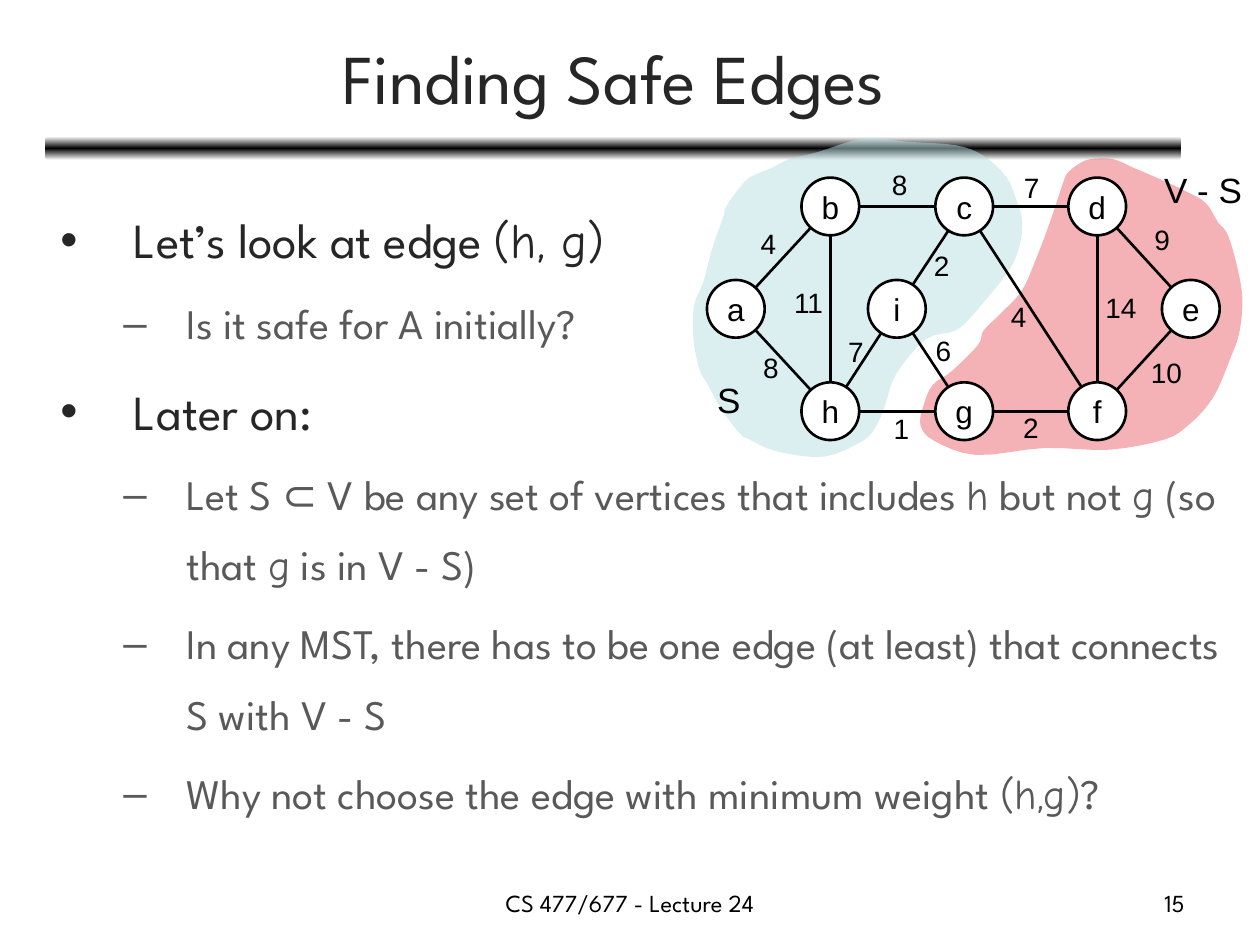
from copy import deepcopy
from math import hypot

from lxml.etree import SubElement
from pptx import Presentation
from pptx.dml.color import RGBColor
from pptx.enum.shapes import MSO_CONNECTOR as Conn, MSO_SHAPE as Preset
from pptx.enum.text import MSO_ANCHOR as Anchor, PP_ALIGN as Align
from pptx.oxml.ns import qn
from pptx.util import Pt

SPARTAN, COMIC, ARIAL = "League Spartan", "Comic Neue", "Arial"
BLACK, WHITE, DARK, GRAY = "000000", "FFFFFF", "262626", "595959"

# Body: (level, [text, hand-lettered text, text, ...]) with fonts alternating
BODY = [
    (0, ["Let’s look at edge ", "(h, g)"]),
    (1, ["Is it safe for A initially?"]),
    (0, ["Later on:"]),
    (1, ["Let S ⊂ V be any set of vertices that includes ", "h", " but not ", "g",
         " (so that ", "g", " is in V - S)"]),
    (1, ["In any MST, there has to be one edge (at least) that connects S with V - S"]),
    (1, ["Why not choose the edge with minimum weight ", "(h,g)", "?"]),
]
LEVELS = [
    {"size": 28, "color": DARK, "bullet": "•", "margin": 42, "indent": -42},
    {"size": 24, "color": GRAY, "bullet": "–", "margin": 72, "indent": -36},
]

# Graph, in points from the corner of its box
NODE_SIZE = 33
TOP, MIDDLE, BOTTOM = 39, 97.5, 156
NODES = {
    "a": (24.5, MIDDLE), "b": (78.5, TOP), "c": (155, TOP), "d": (231, TOP),
    "e": (284.5, MIDDLE), "f": (231, BOTTOM), "g": (155, BOTTOM),
    "h": (78.5, BOTTOM), "i": (116.5, MIDDLE),
}
# Edge ends, weight, centre of the weight
EDGES = [
    ("ab", 4, 43, 60), ("bc", 8, 118, 26.5), ("cd", 7, 193.5, 28),
    ("ah", 8, 44.5, 131), ("bh", 11, 66, 94), ("hg", 1, 119, 166),
    ("gf", 2, 193, 165), ("hi", 7, 93, 122), ("ci", 2, 142, 72.5),
    ("cf", 4, 186, 101.5), ("df", 14, 244.5, 96.5), ("de", 9, 268, 58),
    ("ef", 10, 270.5, 134), ("gi", 6, 143, 121),
]
SET_V_MINUS_S = [
    (227, 12), (220, 15), (215, 19), (212, 24), (204, 48), (196, 69), (188, 87),
    (176, 100), (166, 110), (163, 118), (148, 133), (137, 141), (132, 152),
    (130, 164), (138, 173), (162, 181), (201, 177), (238, 178), (270, 172),
    (283, 164), (293, 154), (300, 143), (307, 126), (312, 112), (314, 94),
    (312, 78), (306, 56), (300, 48), (293, 37), (281, 30), (266, 23), (252, 17),
    (240, 12),
]
SET_S = [
    (33, 22), (45, 17), (55, 12), (71, 8), (98, 0), (122, 2), (150, 4), (166, 10),
    (179, 22), (184, 33), (188, 46), (187, 60), (181, 75), (166, 94), (159, 102),
    (150, 110), (133, 115), (116, 135), (110, 152), (105, 164), (97, 173),
    (75, 182), (48, 179), (32, 172), (27, 169), (17, 156), (8, 140), (4, 133),
    (1, 120), (0, 107), (1, 94), (6, 82), (11, 63), (17, 46), (19, 39), (27, 28),
]


def rgb(hex_color):
    return RGBColor.from_string(hex_color)


def add_run(paragraph, text, size, font, color=BLACK):
    run = paragraph.add_run()
    run.text = text
    for name, value in {"size": Pt(size), "name": font}.items():
        setattr(run.font, name, value)
    run.font.color.rgb = rgb(color)


def add_text(slide, box, text, size, font, color=BLACK, align=Align.CENTER,
             anchor=Anchor.TOP, wrap=True):
    frame = slide.shapes.add_textbox(*map(Pt, box)).text_frame
    frame.word_wrap, frame.vertical_anchor = wrap, anchor
    frame.paragraphs[0].alignment = align
    add_run(frame.paragraphs[0], text, size, font, color)


def add_centred_label(slide, x, y, text, size, width):
    height = size * 1.2 + 7.2
    add_text(slide, (x - width / 2, y - height / 2, width, height), text, size, ARIAL,
             anchor=Anchor.MIDDLE, wrap=False)


def add_rule(slide, box):
    rule = slide.shapes.add_shape(Preset.ROUNDED_RECTANGLE, *map(Pt, box))
    rule.shadow.inherit = False
    rule.line.fill.background()
    rule.fill.gradient()
    rule.fill.gradient_angle = 90
    stops = rule.fill.gradient_stops
    first = rule.fill._fill._gradFill.find(qn("a:gsLst"))[0]
    first.addnext(deepcopy(first))
    stops = rule.fill.gradient_stops
    for stop, position, color in zip(stops, (0, 0.5, 1), (WHITE, BLACK, WHITE)):
        stop.position = position
        stop.color.rgb = rgb(color)


def add_body(slide, box):
    frame = slide.shapes.add_textbox(*map(Pt, box)).text_frame
    frame.word_wrap = True
    for index, (level, pieces) in enumerate(BODY):
        style = LEVELS[level]
        paragraph = frame.add_paragraph() if index else frame.paragraphs[0]
        properties = paragraph._p.get_or_add_pPr()
        properties.set("marL", str(Pt(style["margin"])))
        properties.set("indent", str(Pt(style["indent"])))
        SubElement(properties, qn("a:buFont")).set("typeface", ARIAL)
        SubElement(properties, qn("a:buChar")).set("char", style["bullet"])
        spacing = {"level": level, "line_spacing": 1.4,
                   "space_before": Pt(style["size"] * 0.2 if index else 0)}
        for name, value in spacing.items():
            setattr(paragraph, name, value)
        for place, piece in enumerate(pieces):
            add_run(paragraph, piece, style["size"], (SPARTAN, COMIC)[place % 2],
                    style["color"])


def smooth_outline(points, steps=4):
    """Closed Catmull-Rom curve through the points."""
    curve = []
    count = len(points)
    for i in range(count):
        corners = [points[(i + k) % count] for k in (-1, 0, 1, 2)]
        for t in (step / steps for step in range(steps)):
            curve.append(tuple(
                p1 + (p2 - p0) * t / 2 + (2 * p0 - 5 * p1 + 4 * p2 - p3) * t**2 / 2
                + (3 * p1 - p0 - 3 * p2 + p3) * t**3 / 2
                for p0, p1, p2, p3 in zip(*corners)))
    return curve


def add_region(slide, left, top, points, color, opacity):
    outline = [(Pt(left + x), Pt(top + y)) for x, y in smooth_outline(points)]
    builder = slide.shapes.build_freeform(*outline[0])
    builder.add_line_segments(outline[1:], close=True)
    region = builder.convert_to_shape()
    region.shadow.inherit = False
    region.line.fill.background()
    region.fill.solid()
    region.fill.fore_color.rgb = rgb(color)
    tint = region.fill._fill._solidFill[0]
    SubElement(tint, qn("a:alpha")).set("val", str(opacity * 1000))


def add_node(slide, x, y, name):
    corner = (x - NODE_SIZE / 2, y - NODE_SIZE / 2)
    node = slide.shapes.add_shape(Preset.OVAL, *map(Pt, (*corner, NODE_SIZE, NODE_SIZE)))
    node.shadow.inherit = False
    node.fill.solid()
    node.fill.fore_color.rgb = rgb(WHITE)
    node.line.color.rgb = rgb(BLACK)
    node.line.width = Pt(1.5)
    node.text_frame.word_wrap = False
    node.text_frame.vertical_anchor = Anchor.MIDDLE
    node.text_frame.paragraphs[0].alignment = Align.CENTER
    add_run(node.text_frame.paragraphs[0], name, 18, ARIAL)


def add_edge(slide, left, top, start, end):
    (x1, y1), (x2, y2) = NODES[start], NODES[end]
    trim = NODE_SIZE / 2 / hypot(x2 - x1, y2 - y1)
    dx, dy = (x2 - x1) * trim, (y2 - y1) * trim
    ends = (left + x1 + dx, top + y1 + dy, left + x2 - dx, top + y2 - dy)
    edge = slide.shapes.add_connector(Conn.STRAIGHT, *map(Pt, ends))
    edge.line.color.rgb = rgb(BLACK)
    edge.line.width = Pt(1.5)
    SubElement(edge._element.spPr, qn("a:effectLst"))


def add_graph(slide, left, top):
    # The two sides of the cut
    add_region(slide, left, top, SET_V_MINUS_S, "DD0111", 30)
    add_region(slide, left, top, SET_S, "BBE0E3", 50)
    add_centred_label(slide, left + 20.5, top + 149, "S", 20, 28)
    add_centred_label(slide, left + 291.5, top + 29.5, "V - S", 20, 59)
    # Vertices, then weighted edges
    for name, (x, y) in NODES.items():
        add_node(slide, left + x, top + y, name)
    for ends, weight, x, y in EDGES:
        add_edge(slide, left, top, *ends)
        digits = str(weight)
        add_centred_label(slide, left + x, top + y, digits, 16, 14 + 9 * len(digits))


def main():
    deck = Presentation()
    deck.slide_width, deck.slide_height = Pt(720), Pt(540)
    slide = deck.slides.add_slide(deck.slide_layouts[6])
    add_rule(slide, (26, 78, 649, 13.5))
    add_text(slide, (26.5, 8, 648, 71), "Finding Safe Edges", 40, SPARTAN, DARK,
             anchor=Anchor.MIDDLE)
    add_body(slide, (27.5, 103, 678, 400))
    add_graph(slide, 396, 79)
    # Footer
    add_text(slide, (246, 504, 228, 25), "CS 477/677 - Lecture 24", 14, SPARTAN)
    add_text(slide, (516, 504, 168, 25), "15", 14, SPARTAN, align=Align.RIGHT)
    deck.save("out.pptx")


if __name__ == "__main__":
    main()
